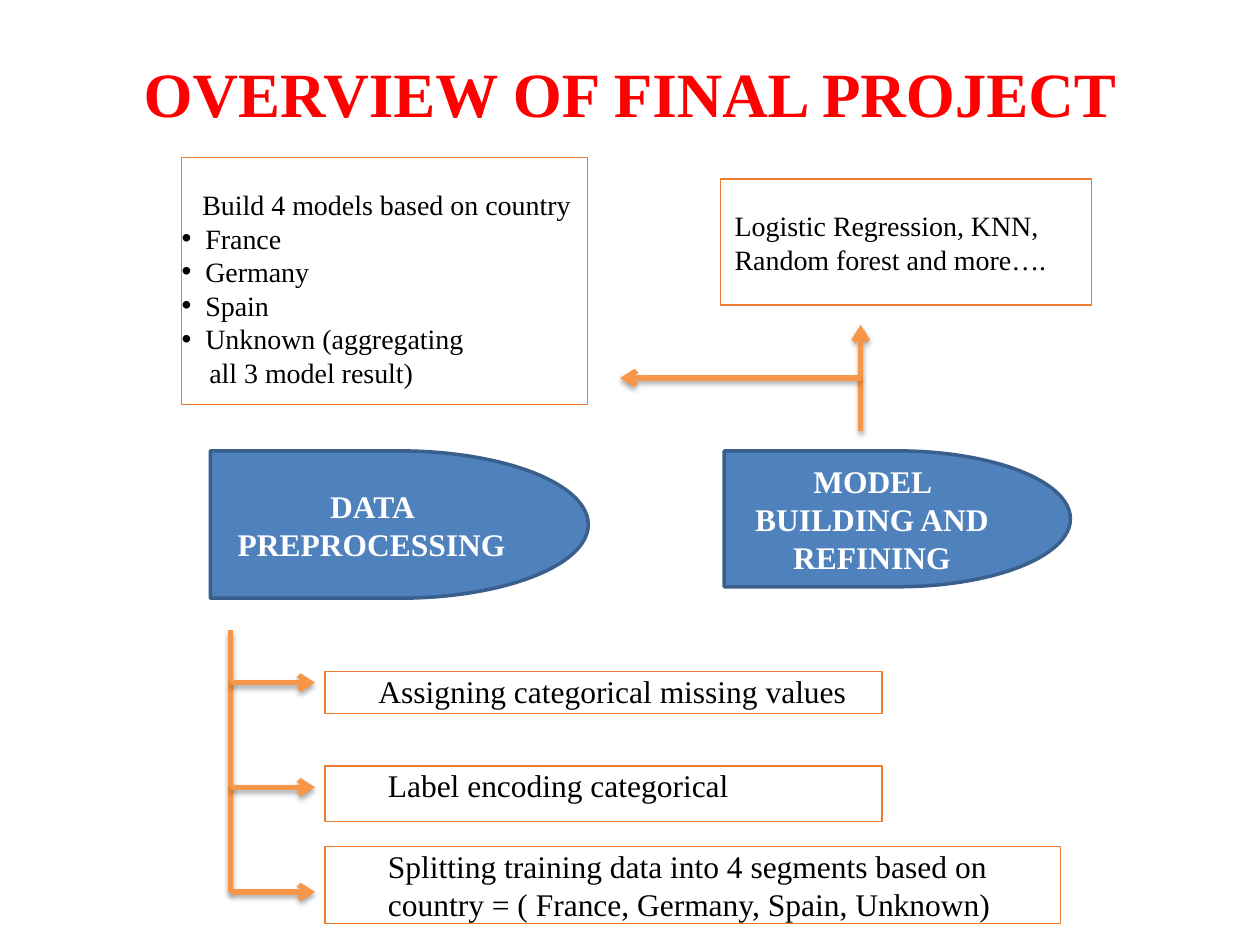
from lxml.etree import SubElement as Sub
from pptx import Presentation
from pptx.dml.color import RGBColor as RGB
from pptx.enum.shapes import MSO_CONNECTOR as Link, MSO_SHAPE as Kind
from pptx.enum.text import MSO_ANCHOR as Anchor, PP_ALIGN as Align
from pptx.oxml.ns import qn
from pptx.util import Cm, Pt

RED = RGB(0xFF, 0x00, 0x00)
BLACK = RGB(0x00, 0x00, 0x00)
WHITE = RGB(0xFF, 0xFF, 0xFF)
BLUE = RGB(0x4F, 0x81, 0xBD)
NAVY = RGB(0x3A, 0x5F, 0x8C)
RUST = RGB(0xEC, 0x7C, 0x30)
AMBER = RGB(0xF7, 0x96, 0x46)
FACE = "Times New Roman"


def style(para, text, size, color, bold=False, align=Align.LEFT):
    para.text = text
    para.alignment = align
    font = para.font
    font.name, font.size, font.bold = FACE, Pt(size), bold
    font.color.rgb = color


def indent(para, left, bullet=False):
    props = para._p.get_or_add_pPr()
    props.set("marL", str(Cm(left)))
    props.set("indent", str(-Cm(left) if bullet else 0))
    if bullet:
        Sub(props, qn("a:buFont"), typeface="Arial")
        Sub(props, qn("a:buChar"), char="•")


def add_title(slide, text):
    box = slide.shapes.add_textbox(Cm(1.27), Cm(0.76), Cm(22.86), Cm(2.21))
    frame = box.text_frame
    frame.word_wrap = True
    frame.vertical_anchor = Anchor.MIDDLE
    style(frame.paragraphs[0], text, 36, RED, True, Align.CENTER)


def add_shape(slide, kind, place, line, width):
    shape = slide.shapes.add_shape(kind, *map(Cm, place))
    shape.shadow.inherit = False
    shape.line.color.rgb = line
    shape.line.width = Pt(width)
    shape.text_frame.word_wrap = True
    return shape


def add_stage(slide, place, text):
    shape = add_shape(slide, Kind.FLOWCHART_DELAY, place, NAVY, 2)
    shape.fill.solid()
    shape.fill.fore_color.rgb = BLUE
    frame = shape.text_frame
    frame.vertical_anchor = Anchor.MIDDLE
    style(frame.paragraphs[0], text, 18, WHITE, True, Align.CENTER)


def add_note(slide, place, rows, size, top=0):
    """Each row is (text, left indent in cm, bulleted)."""
    shape = add_shape(slide, Kind.RECTANGLE, place, RUST, 0.75)
    shape.fill.background()
    frame = shape.text_frame
    frame.vertical_anchor = Anchor.TOP
    frame.margin_left = frame.margin_right = frame.margin_bottom = 0
    frame.margin_top = Cm(top)
    for i, (text, left, bullet) in enumerate(rows):
        para = frame.add_paragraph() if i else frame.paragraphs[0]
        style(para, text, size, BLACK)
        indent(para, left, bullet)


def add_line(slide, x1, y1, x2, y2, arrow=True):
    link = slide.shapes.add_connector(
        Link.STRAIGHT, Cm(x1), Cm(y1), Cm(x2), Cm(y2))
    link.line.color.rgb = AMBER
    link.line.width = Pt(3)
    if arrow:
        Sub(link.line._get_or_add_ln(), qn("a:tailEnd"), type="arrow")
    # Soft shadow straight below
    effects = Sub(link._element.spPr, qn("a:effectLst"))
    shade = Sub(effects, qn("a:outerShdw"), blurRad=str(Pt(3.1)),
                dist=str(Pt(1.8)), dir="5400000", rotWithShape="0")
    color = Sub(shade, qn("a:srgbClr"), val=str(BLACK))
    Sub(color, qn("a:alpha"), val="35000")


def main():
    deck = Presentation()
    deck.slide_width, deck.slide_height = Cm(25.4), Cm(19.05)
    slide = deck.slides.add_slide(deck.slide_layouts[6])
    add_title(slide, "OVERVIEW OF FINAL PROJECT")

    # Notes on the models
    lands = ["France", "Germany", "Spain", "Unknown (aggregating"]
    add_note(slide, (3.66, 3.18, 8.18, 4.98),
             [("Build 4 models based on country", 0.42, False)]
             + [(land, 0.48, True) for land in lands]
             + [("all 3 model result)", 0.56, False)], 16, 0.6)
    add_note(slide, (14.53, 3.61, 7.47, 2.54),
             [("Logistic Regression, KNN,", 0.28, False),
              ("Random forest and more….", 0.28, False)], 16, 0.6)

    # Project stages
    add_stage(slide, (4.24, 9.09, 7.62, 2.97), "DATA PREPROCESSING")
    add_stage(slide, (14.6, 9.09, 6.98, 2.74), "MODEL BUILDING AND REFINING")

    # Preprocessing trunk with three branches
    stem, low, gap = 4.65, 17.98, 2.11
    add_line(slide, stem, 12.7, stem, low, arrow=False)
    for i in (2, 1, 0):
        y = low - i * gap
        add_line(slide, stem, y, 6.35, y)

    # Arrows from the model stage
    add_line(slide, 17.35, 8.69, 17.35, 6.55)
    add_line(slide, 17.35, 7.62, 12.5, 7.62)

    # Preprocessing steps
    steps = [
        (13.54, 11.23, 0.84, 1.08, "Assigning categorical missing values"),
        (15.44, 11.23, 1.12, 1.27, "Label encoding categorical"),
        (17.07, 14.83, 1.55, 1.27, "Splitting training data into 4 segments "
         "based on country = ( France, Germany, Spain, Unknown)"),
    ]
    for y, wide, high, left, text in steps:
        add_note(slide, (6.55, y, wide, high), [(text, left, False)], 18)

    deck.save("out.pptx")


if __name__ == "__main__":
    main()
